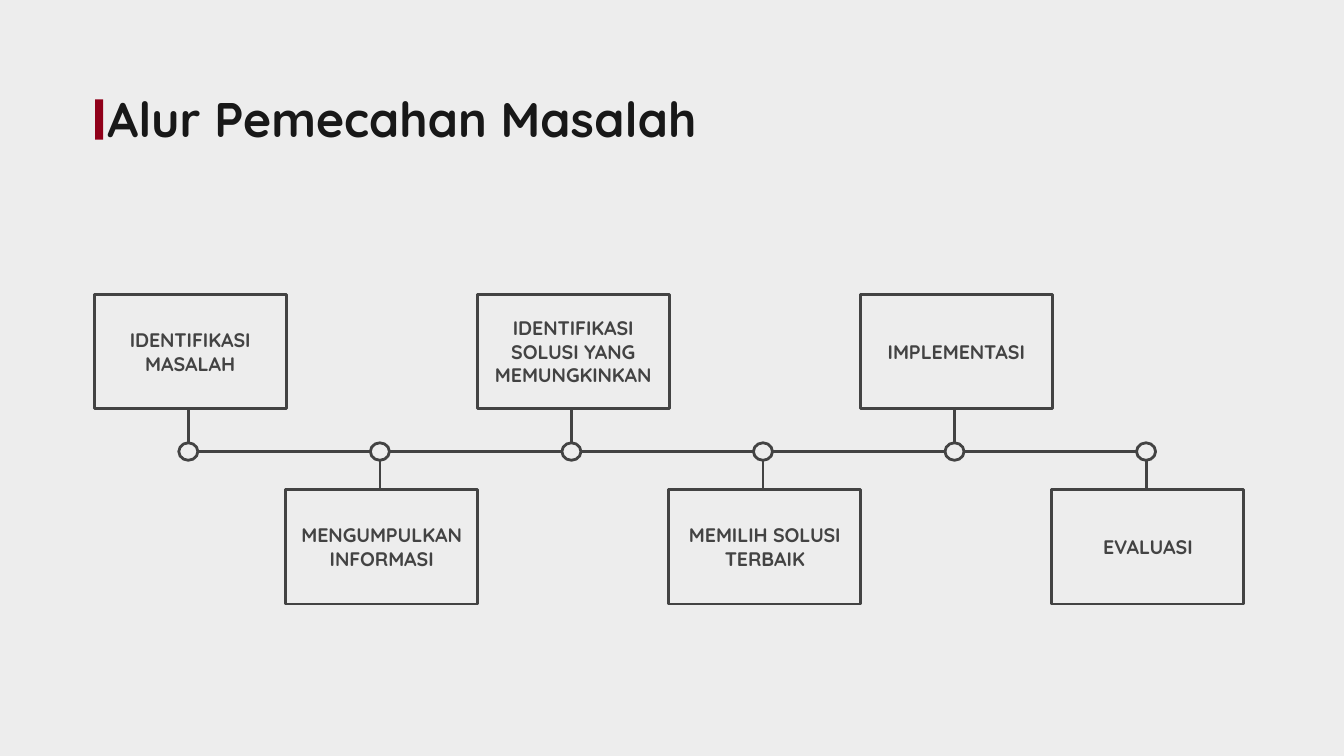
"""Build the problem-solving flow slide, a timeline of six steps."""
from lxml import etree
from pptx import Presentation, util as u
from pptx.dml.color import RGBColor
from pptx.enum import shapes as es, text as et
from pptx.oxml import ns

PAPER = RGBColor(0xED, 0xED, 0xED)
RED = RGBColor(0x90, 0x00, 0x19)
INK = RGBColor(0x18, 0x18, 0x18)
GRAY = RGBColor(0x43, 0x43, 0x43)
FONT = "Quicksand"

STEPS = [
    "IDENTIFIKASI MASALAH",
    "MENGUMPULKAN INFORMASI",
    "IDENTIFIKASI SOLUSI YANG MEMUNGKINKAN",
    "MEMILIH SOLUSI TERBAIK",
    "IMPLEMENTASI",
    "EVALUASI",
]
LEFT, PITCH = 1.78, 3.62
WIDE, HIGH = 3.63, 2.16
UPPER, LOWER = 5.56, 9.25
AXIS = 8.53
DOT_W, DOT_H = 0.36, 0.33

deck = Presentation()
deck.slide_width, deck.slide_height = u.Cm(25.4), u.Cm(14.28)
slide = deck.slides.add_slide(deck.slide_layouts[6])
slide.background.fill.solid()
slide.background.fill.fore_color.rgb = PAPER
tree = slide.shapes


def outline(kind, x, y, w, h):
    shape = tree.add_shape(kind, u.Cm(x), u.Cm(y), u.Cm(w), u.Cm(h))
    shape.shadow.inherit = False
    shape.fill.background()
    shape.line.color.rgb = GRAY
    shape.line.width = u.Pt(1.5)
    return shape


def join(x1, y1, x2, y2):
    line = tree.add_connector(
        es.MSO_CONNECTOR.STRAIGHT, u.Cm(x1), u.Cm(y1), u.Cm(x2), u.Cm(y2))
    line.line.color.rgb = GRAY
    line.line.width = u.Pt(1.5)
    etree.SubElement(line._element.spPr, ns.qn("a:effectLst"))


bar = tree.add_shape(
    es.MSO_SHAPE.RECTANGLE, u.Cm(1.8), u.Cm(1.88), u.Cm(0.15), u.Cm(0.76))
bar.shadow.inherit = False
bar.fill.solid()
bar.fill.fore_color.rgb = RED
bar.line.fill.background()

title = tree.add_textbox(u.Cm(1.78), u.Cm(1.45), u.Cm(12.07), u.Cm(1.57))
frame = title.text_frame
frame.word_wrap = True
frame.vertical_anchor = et.MSO_ANCHOR.MIDDLE
frame.text = "Alur Pemecahan Masalah"
font = frame.paragraphs[0].runs[0].font
font.name, font.size, font.bold = FONT, u.Pt(26), True
font.color.rgb = INK

for i, step in enumerate(STEPS):
    left = LEFT + i * PITCH
    mid = left + 1.78
    above = i % 2 == 0

    box = outline(es.MSO_SHAPE.RECTANGLE, left, UPPER if above else LOWER, WIDE, HIGH)
    frame = box.text_frame
    frame.word_wrap = True
    frame.vertical_anchor = et.MSO_ANCHOR.MIDDLE
    frame.text = step
    label = frame.paragraphs[0]
    label.alignment = et.PP_ALIGN.CENTER
    font = label.runs[0].font
    font.name, font.size, font.bold = FONT, u.Pt(10.5), True
    font.color.rgb = GRAY

    outline(es.MSO_SHAPE.OVAL, mid - DOT_W / 2, AXIS - DOT_H / 2, DOT_W, DOT_H)
    if above:
        join(mid, UPPER + HIGH, mid, AXIS - DOT_H / 2)
    else:
        join(mid, AXIS + DOT_H / 2, mid, LOWER)
    if i < len(STEPS) - 1:
        join(mid + DOT_W / 2, AXIS, mid + PITCH - DOT_W / 2, AXIS)

deck.save("out.pptx")
